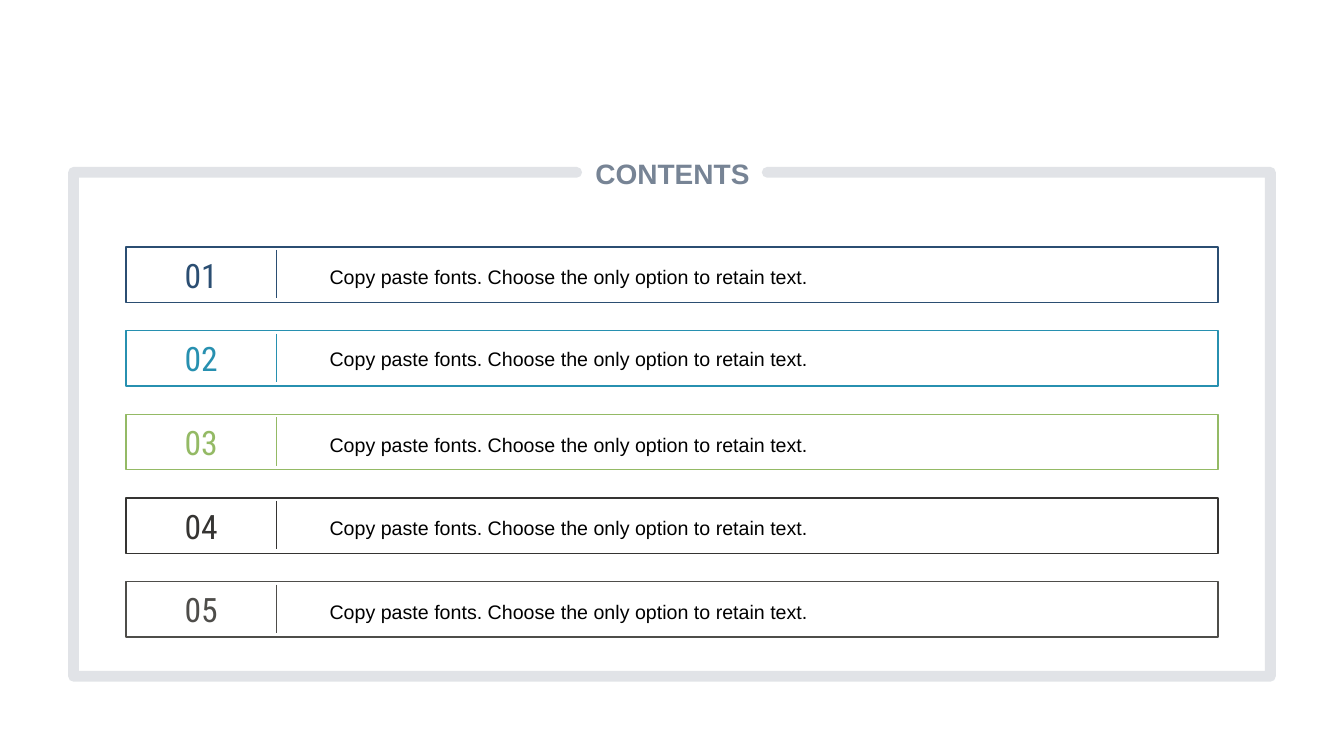
from lxml.etree import SubElement
from pptx import Presentation
from pptx.dml.color import RGBColor
from pptx.enum.shapes import MSO_CONNECTOR, MSO_SHAPE
from pptx.enum.text import MSO_ANCHOR, MSO_AUTO_SIZE, PP_ALIGN
from pptx.oxml.ns import qn
from pptx.util import Pt

EMU_PER_PX = 9144  # 100 px to the inch
SLATE = RGBColor(0x77, 0x84, 0x95)
NAVY = RGBColor(0x2B, 0x4E, 0x72)
TEAL = RGBColor(0x27, 0x90, 0xB0)
GREEN = RGBColor(0x94, 0xBA, 0x65)
CHARCOAL = RGBColor(0x35, 0x34, 0x32)
GRAY = RGBColor(0x4E, 0x4D, 0x4A)
BLACK = RGBColor(0, 0, 0)

ENTRY = "Copy paste fonts. Choose the only option to retain text."
ROWS = [(NAVY, 1.2), (TEAL, 1.0), (GREEN, 1.2), (CHARCOAL, 1.2), (GRAY, 1.2)]
ROW_LEFT, ROW_TOP, ROW_WIDTH, ROW_HEIGHT, ROW_STEP = 125, 245, 1083, 55, 83
NUMBER_WIDTH = 149
ENTRY_LEFT = 317
DIVIDER_INSET = 3


def px(*lengths):
    return [length * EMU_PER_PX for length in lengths]


def write_text(shape, text, font="Arial", size=14, color=BLACK, bold=False,
               align=PP_ALIGN.LEFT, spacing=1.0, margin=None):
    frame = shape.text_frame
    frame.text = text
    frame.word_wrap = True
    frame.auto_size = MSO_AUTO_SIZE.NONE
    frame.vertical_anchor = MSO_ANCHOR.MIDDLE
    if margin is not None:
        frame.margin_left = frame.margin_right = margin
        frame.margin_top = frame.margin_bottom = margin
    paragraph = frame.paragraphs[0]
    paragraph.alignment = align
    paragraph.line_spacing = spacing
    run_font = paragraph.runs[0].font
    run_font.name = font
    run_font.size = Pt(size)
    run_font.bold = bold
    run_font.color.rgb = color


class ContentsSlide:
    def __init__(self, presentation):
        self.slide = presentation.slides.add_slide(presentation.slide_layouts[5])
        self.shapes = self.slide.shapes
        self.line_width = Pt(1)

    def outline(self, shape, color, width=None):
        shape.line.color.rgb = color
        shape.line.width = width or self.line_width

    def title(self, text, left, top, width, height):
        title = self.shapes.title
        title.left, title.top, title.width, title.height = px(left, top, width, height)
        write_text(title, text, size=20, color=SLATE, bold=True,
                   align=PP_ALIGN.CENTER, margin=0)

    def open_frame(self, points):
        """Draw a thick translucent line with round ends and corners."""
        builder = self.shapes.build_freeform(*points[0], scale=EMU_PER_PX)
        builder.add_line_segments(points[1:], close=False)
        frame = builder.convert_to_shape()
        frame.shadow.inherit = False
        frame.fill.background()
        self.outline(frame, SLATE, Pt(7.75))
        line = frame.line._get_or_add_ln()
        line.set("cap", "rnd")
        SubElement(line, qn("a:round"))
        color = line.find(qn("a:solidFill")).find(qn("a:srgbClr"))
        SubElement(color, qn("a:alpha"), val="21000")

    def box(self, left, top, width, height, color):
        box = self.shapes.add_shape(MSO_SHAPE.RECTANGLE, *px(left, top, width, height))
        box.shadow.inherit = False
        box.fill.background()
        self.outline(box, color)

    def divider(self, x, top, bottom, color):
        divider = self.shapes.add_connector(MSO_CONNECTOR.STRAIGHT, *px(x, top, x, bottom))
        self.outline(divider, color)
        SubElement(divider._element.spPr, qn("a:effectLst"))

    def label(self, text, left, top, width, height, **text_format):
        label = self.shapes.add_textbox(*px(left, top, width, height))
        write_text(label, text, **text_format)

    def row(self, number, top, color, spacing):
        divider_x = ROW_LEFT + NUMBER_WIDTH
        self.box(ROW_LEFT, top, ROW_WIDTH, ROW_HEIGHT, color)
        self.label(f"{number:02}", ROW_LEFT, top, NUMBER_WIDTH, ROW_HEIGHT,
                   font="Roboto Condensed", size=24, color=color,
                   align=PP_ALIGN.CENTER)
        self.divider(divider_x, top + DIVIDER_INSET,
                     top + ROW_HEIGHT - DIVIDER_INSET - 1, color)
        self.label(ENTRY, ENTRY_LEFT, top, ROW_LEFT + ROW_WIDTH - ENTRY_LEFT,
                   ROW_HEIGHT, spacing=spacing)


def main():
    presentation = Presentation()
    presentation.slide_width, presentation.slide_height = px(1333, 750)
    contents = ContentsSlide(presentation)
    contents.title("CONTENTS", 581, 138, 172, 67)
    contents.open_frame([(761, 171), (1260, 171), (1260, 671),
                         (73, 671), (73, 171), (572, 171)])
    for index, (color, spacing) in enumerate(ROWS):
        contents.row(index + 1, ROW_TOP + index * ROW_STEP, color, spacing)
    presentation.save("out.pptx")


if __name__ == "__main__":
    main()
